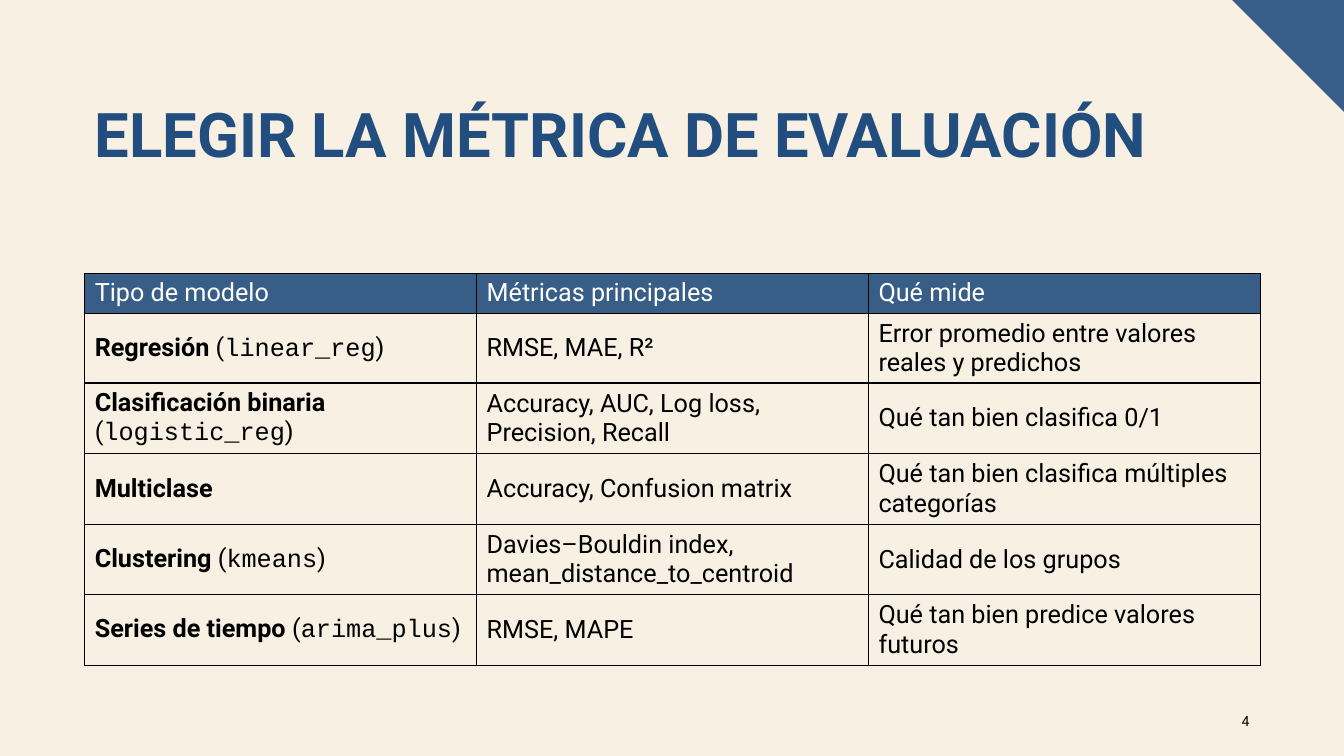
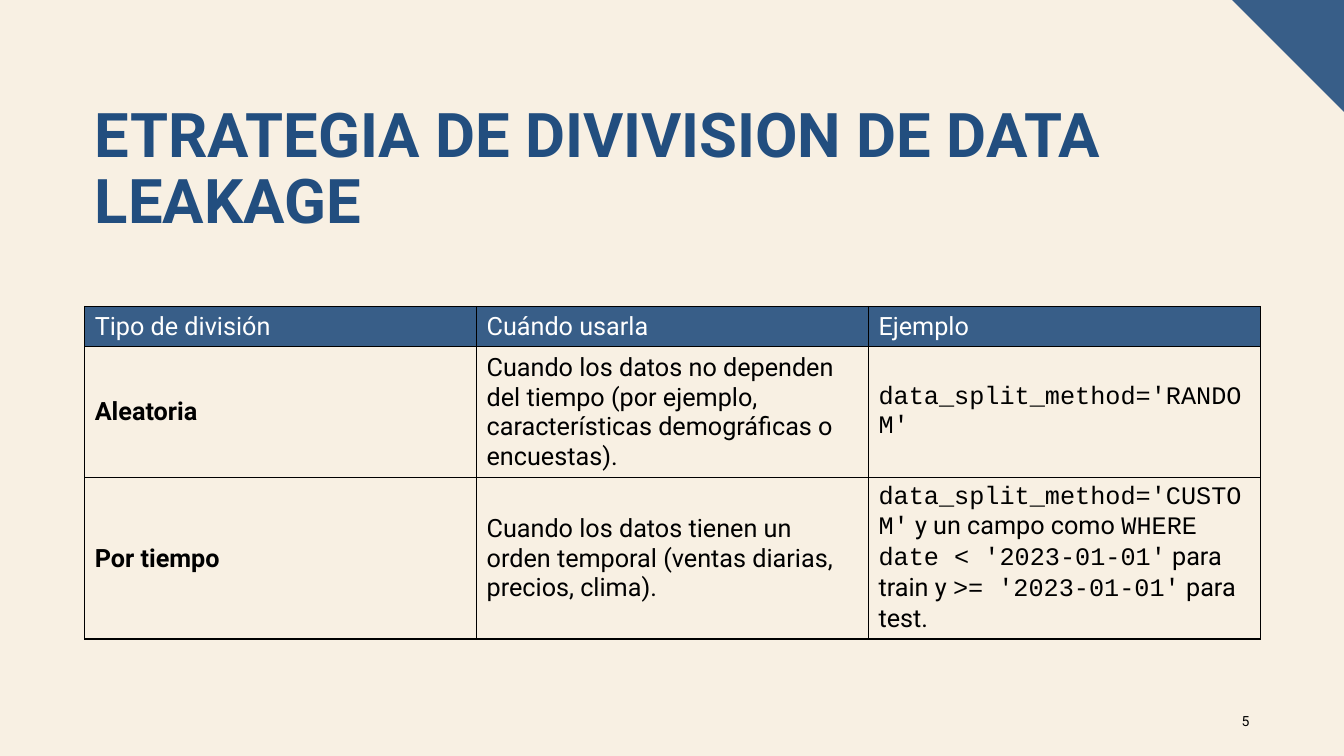
from lxml import etree
from pptx import Presentation
from pptx.dml.color import RGBColor
from pptx.enum.text import MSO_ANCHOR, MSO_AUTO_SIZE, PP_ALIGN
from pptx.oxml.ns import qn
from pptx.util import Inches, Pt

LEFT, RIGHT = PP_ALIGN.LEFT, PP_ALIGN.RIGHT
TOP, MIDDLE = MSO_ANCHOR.TOP, MSO_ANCHOR.MIDDLE
NO_FIT = MSO_AUTO_SIZE.NONE

COLORS = {
    "paper": "F8F0E3",
    "band": "385E88",
    "title": "224E7F",
    "text": "000000",
    "header": "FFFFFF",
}
SANS, MONO = "Roboto", "Courier New"
SLIDE_W, SLIDE_H = 13.33, 7.5
CORNER = 1.11
BOLD = {"bold": True}
CODE = {"font": MONO}


def rgb(name):
    return RGBColor.from_string(COLORS[name])


def add_text(paragraph, text, font=SANS, size=18, color="text", bold=False):
    run = paragraph.add_run()
    run.text = text
    run.font.name = font
    run.font.size = Pt(size)
    run.font.bold = bold
    run.font.color.rgb = rgb(color)


def add_corner(slide):
    """Triangle in the top right corner."""
    x = Inches(SLIDE_W - CORNER)
    outline = slide.shapes.build_freeform(x, 0)
    right = Inches(SLIDE_W)
    outline.add_line_segments([(right, 0), (right, Inches(CORNER))], close=True)
    corner = outline.convert_to_shape()
    corner.shadow.inherit = False
    corner.fill.solid()
    corner.fill.fore_color.rgb = rgb("band")
    corner.line.fill.background()


def add_title(slide, text, box):
    title = slide.shapes.title
    title.left, title.top, title.width, title.height = map(Inches, box)
    frame = title.text_frame
    frame.auto_size = NO_FIT
    frame.vertical_anchor = TOP
    paragraph = frame.paragraphs[0]
    paragraph.alignment = LEFT
    paragraph.line_spacing = 0.9
    add_text(paragraph, text, size=44, color="title", bold=True)


def add_page_number(slide, number, box):
    frame = slide.shapes.add_textbox(*map(Inches, box)).text_frame
    frame.word_wrap = True
    frame.vertical_anchor = MIDDLE
    paragraph = frame.paragraphs[0]
    paragraph.alignment = RIGHT
    add_text(paragraph, str(number), size=10)


def set_borders(cell):
    """Thin black line on all four sides; must precede the cell's fill."""
    properties = cell._tc.get_or_add_tcPr()
    for side in ("lnL", "lnR", "lnT", "lnB"):
        line = etree.SubElement(properties, qn(f"a:{side}"), w=str(Pt(1)))
        fill = etree.SubElement(line, qn("a:solidFill"))
        etree.SubElement(fill, qn("a:srgbClr"), val=COLORS["text"])


def fill_cell(cell, content, is_header):
    """Content is a plain string or a list of (text, format) runs."""
    set_borders(cell)
    if is_header:
        cell.fill.solid()
        cell.fill.fore_color.rgb = rgb("band")
    else:
        cell.fill.background()
    cell.vertical_anchor = MIDDLE
    runs = [(content, {})] if isinstance(content, str) else content
    for text, style in runs:
        add_text(cell.text_frame.paragraphs[0], text,
                 color="header" if is_header else "text", **style)


def add_grid(slide, rows, row_heights, left, top, width):
    columns = len(rows[0])
    table = slide.shapes.add_table(
        len(rows), columns, Inches(left), Inches(top),
        Inches(width), Inches(sum(row_heights))).table
    table.first_row = table.horz_banding = False
    for column in table.columns:
        column.width = Inches(width / columns)
    for r, (contents, height) in enumerate(zip(rows, row_heights)):
        table.rows[r].height = Inches(height)
        for c, content in enumerate(contents):
            fill_cell(table.cell(r, c), content, is_header=r == 0)


def add_table_slide(prs, number, title, rows, row_heights, table_top):
    slide = prs.slides.add_slide(prs.slide_layouts[5])
    add_corner(slide)
    add_title(slide, title, (0.84, 0.98, 11.66, 1.45))
    add_grid(slide, rows, row_heights, 0.84, table_top, 11.66)
    add_page_number(slide, number, (11.99, 6.95, 0.5, 0.4))


def model(name, function):
    return [(name, BOLD), (" (", {}), (function, CODE), (")", {})]


METRICS = [
    ("Tipo de modelo", "Métricas principales", "Qué mide"),
    (model("Regresión", "linear_reg"), "RMSE, MAE, R²",
     "Error promedio entre valores reales y predichos"),
    (model("Clasificación binaria", "logistic_reg"),
     "Accuracy, AUC, Log loss, Precision, Recall",
     "Qué tan bien clasifica 0/1"),
    ([("Multiclase", BOLD)], "Accuracy, Confusion matrix",
     "Qué tan bien clasifica múltiples categorías"),
    (model("Clustering", "kmeans"),
     "Davies–Bouldin index, mean_distance_to_centroid",
     "Calidad de los grupos"),
    (model("Series de tiempo", "arima_plus"), "RMSE, MAPE",
     "Qué tan bien predice valores futuros"),
]

SPLITS = [
    ("Tipo de división", "Cuándo usarla", "Ejemplo"),
    ([("Aleatoria", BOLD)],
     "Cuando los datos no dependen del tiempo (por ejemplo, "
     "características demográficas o encuestas).",
     [("data_split_method='RANDOM'", CODE)]),
    ([("Por tiempo", BOLD)],
     "Cuando los datos tienen un orden temporal "
     "(ventas diarias, precios, clima).",
     [("data_split_method='CUSTOM'", CODE), (" y un campo como ", {}),
      ("WHERE date < '2023-01-01'", CODE), (" para train y ", {}),
      (">= '2023-01-01'", CODE), (" para test.", {})]),
]


def main():
    prs = Presentation()
    prs.slide_width, prs.slide_height = Inches(SLIDE_W), Inches(SLIDE_H)
    background = prs.slide_master.background.fill
    background.solid()
    background.fore_color.rgb = rgb("paper")

    add_table_slide(prs, 4, "ELEGIR LA MÉTRICA DE EVALUACIÓN",
                    METRICS, [0.4, 0.69] + [0.7] * 4, 2.71)
    add_table_slide(prs, 5, "ETRATEGIA DE DIVIVISION DE DATA LEAKAGE",
                    SPLITS, [0.4, 1.3, 1.6], 3.04)
    prs.save("out.pptx")


if __name__ == "__main__":
    main()
